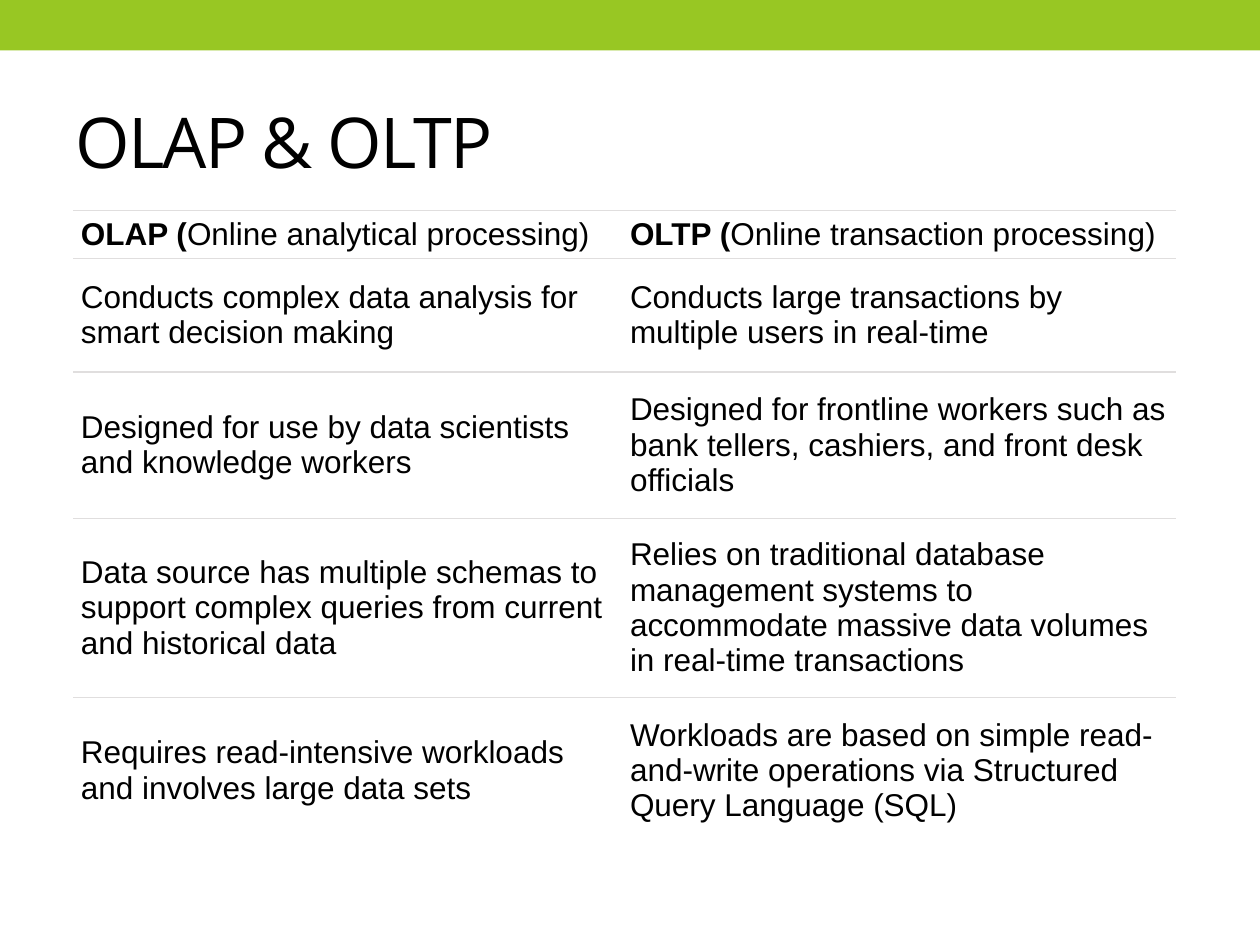
"""Build the slide comparing OLAP and OLTP."""
from dataclasses import dataclass

import lxml.etree
import pptx
import pptx.dml.color
import pptx.enum.shapes
import pptx.enum.text
import pptx.oxml.ns
import pptx.util

Cm = pptx.util.Cm
Pt = pptx.util.Pt
RGBColor = pptx.dml.color.RGBColor
MIDDLE = pptx.enum.text.MSO_ANCHOR.MIDDLE

GREEN = RGBColor(0x98, 0xC7, 0x23)
BLACK = RGBColor(0x00, 0x00, 0x00)
WHITE = RGBColor(0xFF, 0xFF, 0xFF)
RULE = RGBColor(0xE0, 0xDE, 0xDE)
NO_GRID_STYLE = "{2D5ABB26-0587-4C30-8999-92F81FD0307C}"
COLUMN_WIDTHS = (11.07, 11.15)


@dataclass
class Row:
    height: float
    olap: str
    oltp: str
    olap_term: str = ""
    oltp_term: str = ""


ROWS = [
    Row(0.97, "Online analytical processing)", "Online transaction processing)",
        "OLAP (", "OLTP ("),
    Row(2.29, "Conducts complex data analysis for smart decision making",
        "Conducts large transactions by multiple users in real-time"),
    Row(2.95, "Designed for use by data scientists and knowledge workers",
        "Designed for frontline workers such as bank tellers, cashiers, and front desk officials"),
    Row(3.61, "Data source has multiple schemas to support complex queries from current "
        "and historical data",
        "Relies on traditional database management systems to accommodate massive data "
        "volumes in real-time transactions"),
    Row(2.95, "Requires read-intensive workloads and involves large data sets",
        "Workloads are based on simple read-and-write operations via Structured Query "
        "Language (SQL)"),
]


def add_band(slide) -> None:
    sp = slide.shapes.add_shape(pptx.enum.shapes.MSO_SHAPE.RECTANGLE, 0, 0, Cm(25.4), Cm(1.02))
    sp.shadow.inherit = False
    sp.fill.solid()
    sp.fill.fore_color.rgb = GREEN
    sp.line.fill.background()


def set_font(p, name: str, size: float) -> None:
    p.font.name = name
    p.font.size = Pt(size)
    p.font.color.rgb = BLACK


def add_title(slide, text: str) -> None:
    tf = slide.shapes.add_textbox(Cm(1.27), Cm(1.47), Cm(22.86), Cm(2.74)).text_frame
    tf.word_wrap = True
    tf.vertical_anchor = MIDDLE
    p = tf.paragraphs[0]
    r = p.add_run()
    r.text = text
    set_font(p, "Open Sans", 40)
    r.font._element.set("spc", "-100")


def add_border(cell, side: str, visible: bool) -> None:
    qn = pptx.oxml.ns.qn
    tc_pr = cell._tc.get_or_add_tcPr()
    ln = lxml.etree.SubElement(tc_pr, qn(f"a:ln{side}"), w=str(Pt(0.75)))
    if visible:
        fill = lxml.etree.SubElement(ln, qn("a:solidFill"))
        lxml.etree.SubElement(fill, qn("a:srgbClr"), val=str(RULE))
    else:
        lxml.etree.SubElement(ln, qn("a:noFill"))


def fill_cell(cell, term: str, text: str, last: bool) -> None:
    for side, visible in (("L", False), ("R", False), ("T", True), ("B", not last)):
        add_border(cell, side, visible)
    cell.fill.solid()
    cell.fill.fore_color.rgb = WHITE
    cell.vertical_anchor = MIDDLE
    cell.margin_left = cell.margin_right = Cm(0.15)
    cell.margin_top = cell.margin_bottom = Cm(0.1)
    p = cell.text_frame.paragraphs[0]
    set_font(p, "Arial", 18)
    for content, bold in ((term, True), (text, False)):
        if content:
            r = p.add_run()
            r.text = content
            r.font.bold = bold


def add_comparison(slide, rows: list[Row]) -> None:
    table = slide.shapes.add_table(
        len(rows), len(COLUMN_WIDTHS), Cm(1.48), Cm(4.24),
        Cm(sum(COLUMN_WIDTHS)), Cm(sum(row.height for row in rows))).table
    table.first_row = table.horz_banding = False
    table._tbl.tblPr.find(pptx.oxml.ns.qn("a:tableStyleId")).text = NO_GRID_STYLE
    for column, width in zip(table.columns, COLUMN_WIDTHS):
        column.width = Cm(width)
    for i, row in enumerate(rows):
        table.rows[i].height = Cm(row.height)
        last = i == len(rows) - 1
        fill_cell(table.cell(i, 0), row.olap_term, row.olap, last)
        fill_cell(table.cell(i, 1), row.oltp_term, row.oltp, last)


def main() -> None:
    prs = pptx.Presentation()
    prs.slide_width, prs.slide_height = Cm(25.4), Cm(19.05)
    slide = prs.slides.add_slide(prs.slide_layouts[6])
    add_band(slide)
    add_title(slide, "OLAP & OLTP")
    add_comparison(slide, ROWS)
    prs.save("out.pptx")


if __name__ == "__main__":
    main()
